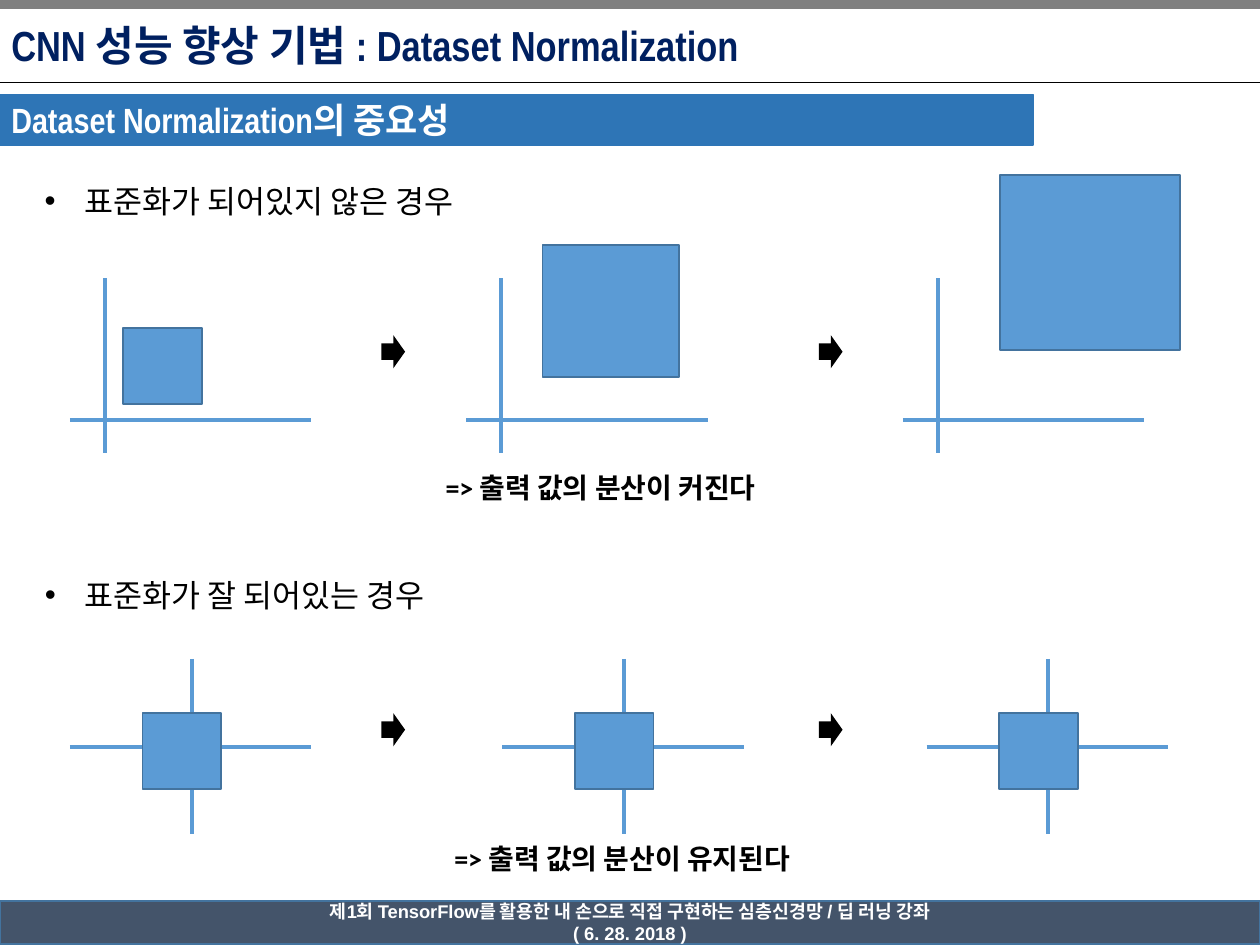
from dataclasses import dataclass

from lxml import etree
from pptx import Presentation
from pptx.dml.color import RGBColor
from pptx.enum import shapes, text
from pptx.oxml import ns
from pptx.util import Pt

WHITE = RGBColor(0xFF, 0xFF, 0xFF)
BLACK = RGBColor(0, 0, 0)
GRAY = RGBColor(0x80, 0x80, 0x80)
NAVY = RGBColor(0x00, 0x20, 0x60)
SLATE = RGBColor(0x44, 0x54, 0x6A)
BLUE = RGBColor(0x5B, 0x9B, 0xD5)
EDGE = RGBColor(0x43, 0x73, 0x9E)
BAND = RGBColor(0x2E, 0x75, 0xB6)

RECT = shapes.MSO_SHAPE.RECTANGLE
ARROW = shapes.MSO_SHAPE.RIGHT_ARROW


@dataclass
class Box:
    x: float
    y: float
    w: float
    h: float

    def pts(self):
        return Pt(self.x), Pt(self.y), Pt(self.w), Pt(self.h)


@dataclass
class Style:
    size: float
    font: str
    color: RGBColor
    bold: bool = True


@dataclass
class Plot:
    """A pair of axes that cross at x, with a square of data."""
    x: float
    square: Box


@dataclass
class Case:
    head: str
    head_box: Box
    top: float
    cross: float
    reach: float
    arrow: float
    plots: list[Plot]
    note: str
    note_box: Box


def add_shape(slide, kind, box: Box, fill: RGBColor, edge=None):
    shape = slide.shapes.add_shape(kind, *box.pts())
    shape.shadow.inherit = False
    shape.fill.solid()
    shape.fill.fore_color.rgb = fill
    if edge is None:
        shape.line.fill.background()
    else:
        shape.line.color.rgb = edge
        shape.line.width = Pt(1)
    return shape


def add_line(slide, x1: float, y1: float, x2: float, y2: float,
             color: RGBColor, width: float):
    line = slide.shapes.add_connector(
        shapes.MSO_CONNECTOR.STRAIGHT, Pt(x1), Pt(y1), Pt(x2), Pt(y2))
    line.line.color.rgb = color
    line.line.width = Pt(width)
    etree.SubElement(line._element.spPr, ns.qn("a:effectLst"))


def set_text(shape, words: str, style: Style, align=text.PP_ALIGN.LEFT):
    frame = shape.text_frame
    frame.text = words
    frame.vertical_anchor = text.MSO_ANCHOR.MIDDLE
    for para in frame.paragraphs:
        para.alignment = align
        for run in para.runs:
            run.font.size = Pt(style.size)
            run.font.name = style.font
            run.font.bold = style.bold
            run.font.color.rgb = style.color


def add_label(slide, box: Box, words: str, style: Style):
    """Add a one-line text box that fits its text."""
    label = slide.shapes.add_textbox(*box.pts())
    set_text(label, words, style)
    label.text_frame.word_wrap = False
    label.text_frame.auto_size = text.MSO_AUTO_SIZE.SHAPE_TO_FIT_TEXT
    return label


def add_bullet(para):
    props = para._p.get_or_add_pPr()
    props.set("marL", str(Pt(22.5)))
    props.set("indent", str(Pt(-22.5)))
    etree.SubElement(props, ns.qn("a:buFont")).set("typeface", "Arial")
    etree.SubElement(props, ns.qn("a:buChar")).set("char", "•")


def draw_case(slide, case: Case):
    head = add_label(slide, case.head_box, case.head,
                     Style(18, "Calibri", BLACK, False))
    add_bullet(head.text_frame.paragraphs[0])
    for plot in case.plots:
        left = plot.x - case.reach
        add_line(slide, plot.x, case.top, plot.x, case.top + 100, BLUE, 2.25)
        add_line(slide, left, case.cross, left + 138, case.cross, BLUE, 2.25)
        add_shape(slide, RECT, plot.square, BLUE, EDGE)
    for x in (218, 468):
        add_shape(slide, ARROW, Box(x, case.arrow, 13.5, 19), BLACK)
    add_label(slide, case.note_box, case.note, Style(16, "Calibri", BLACK))


CASES = [
    Case("표준화가 되어있지 않은 경우", Box(18.5, 100, 268, 29),
         159, 240, 20, 191.5,
         [Plot(60, Box(70.5, 187.5, 45, 43.5)),
          Plot(286.5, Box(310, 140, 78, 75.5)),
          Plot(536, Box(571.5, 100, 103, 100))],
         "=> 출력 값의 분산이 커진다", Box(247.5, 265.5, 207, 26.5)),
    Case("표준화가 잘 되어있는 경우", Box(18.5, 325.5, 250, 29),
         376.5, 427, 69.5, 407.5,
         [Plot(x, Box(x - 28, 407.5, 45, 43.5)) for x in (109.5, 356.5, 599)],
         "=> 출력 값의 분산이 유지된다", Box(252.5, 477.5, 223, 26.5)),
]


def main():
    deck = Presentation()
    deck.slide_width, deck.slide_height = Pt(720), Pt(540)
    slide = deck.slides.add_slide(deck.slide_layouts[6])

    add_shape(slide, RECT, Box(0, 0, 720, 5), GRAY, GRAY)
    add_line(slide, 0, 47, 720, 47, BLACK, 0.5)
    foot = add_shape(slide, RECT, Box(0, 515, 720, 24.5), SLATE, EDGE)
    set_text(foot, "제1회 TensorFlow를 활용한 내 손으로 직접 구현하는 심층신경망 / "
             "딥 러닝 강좌\n( 6. 28. 2018 )",
             Style(10.5, "Arial", WHITE), text.PP_ALIGN.CENTER)

    title = slide.shapes.add_textbox(*Box(0, 2, 562, 47).pts())
    title.text_frame.word_wrap = True
    set_text(title, "CNN 성능 향상 기법 : Dataset Normalization",
             Style(24, "Arial Narrow", NAVY))
    band = add_shape(slide, RECT, Box(0, 54, 590.5, 29), BAND, BAND)
    set_text(band, "Dataset Normalization의 중요성",
             Style(20, "Arial Narrow", WHITE))
    for shape in (title, band):
        shape.text_frame.margin_left = Pt(6.5)
        shape.text_frame.margin_right = Pt(6.5)
        shape.text_frame.margin_top = Pt(3)
        shape.text_frame.margin_bottom = Pt(3)

    for case in CASES:
        draw_case(slide, case)
    deck.save("out.pptx")


if __name__ == "__main__":
    main()
